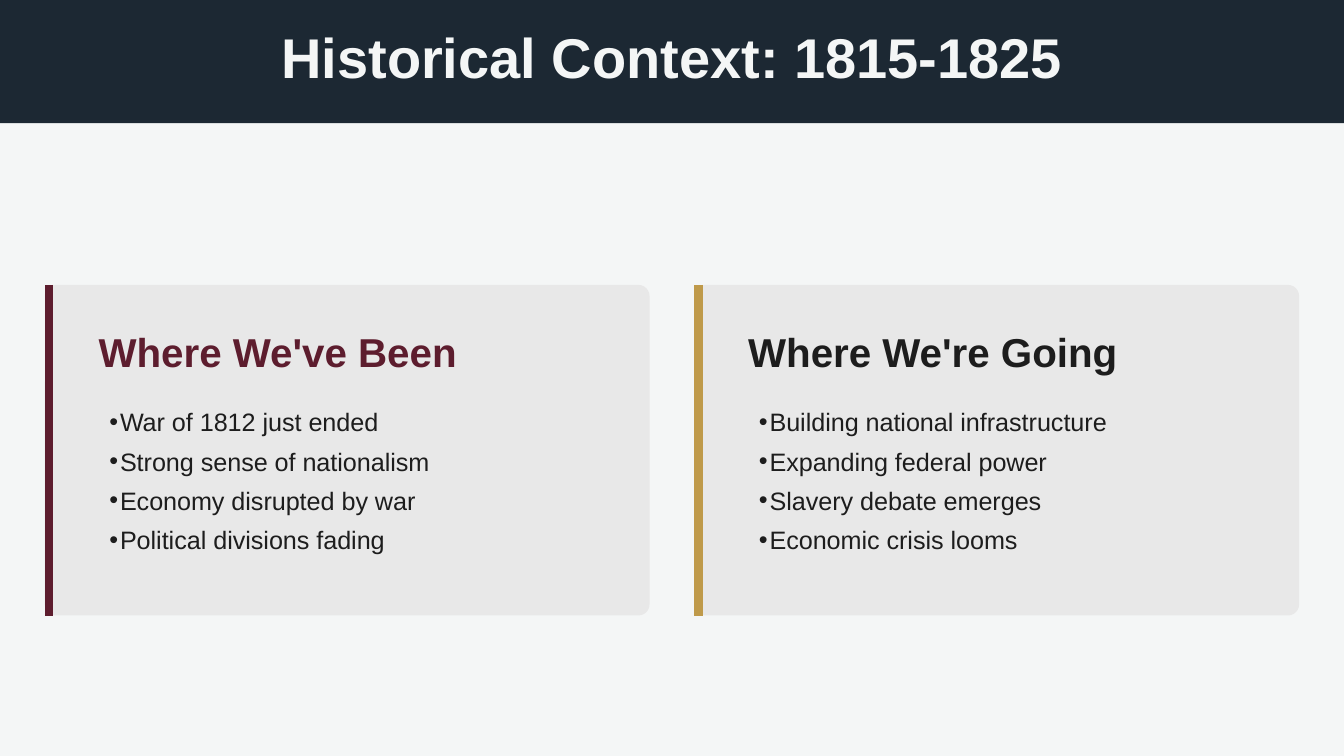
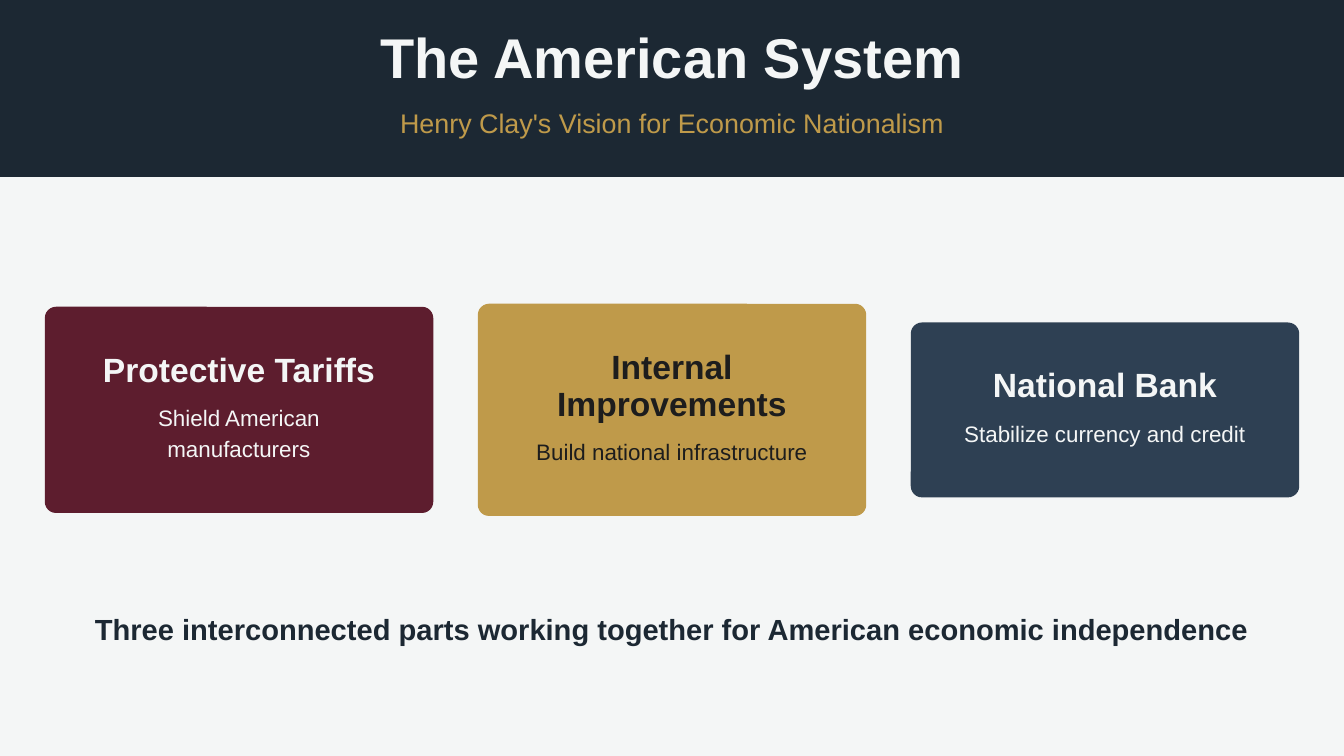
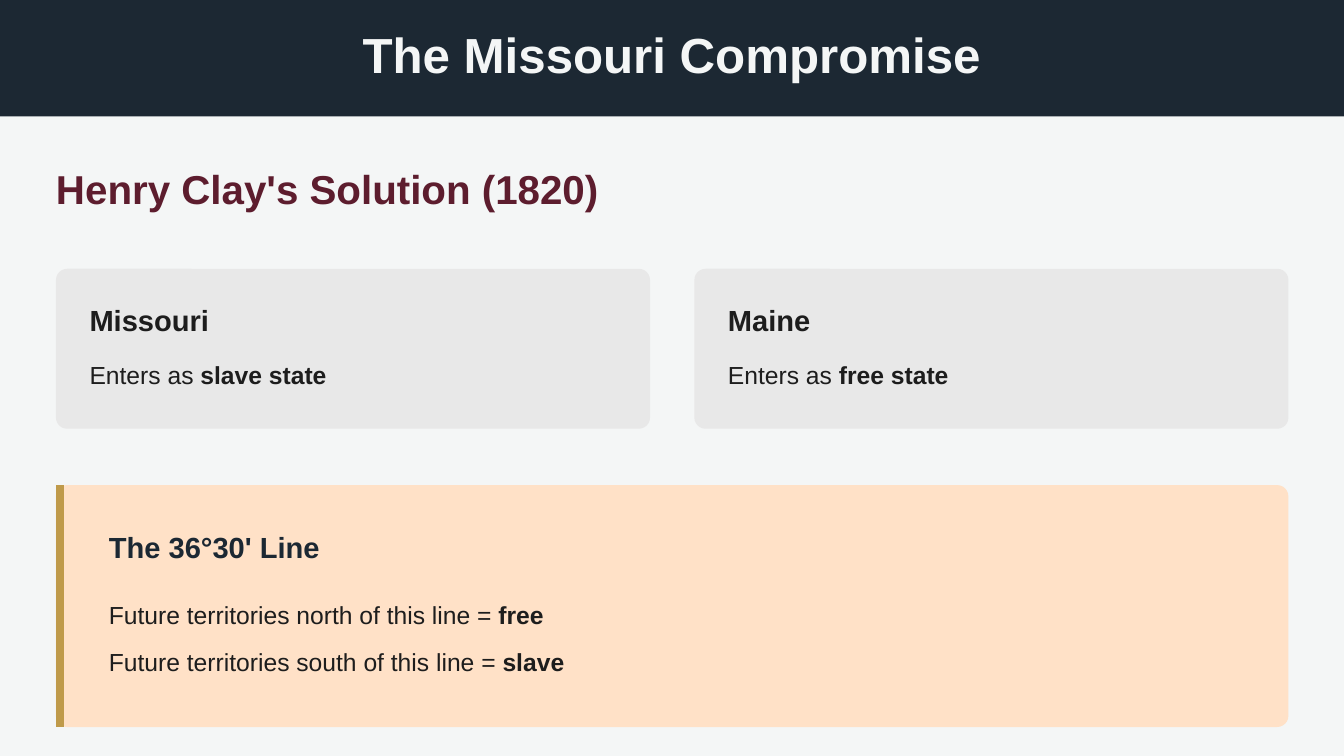
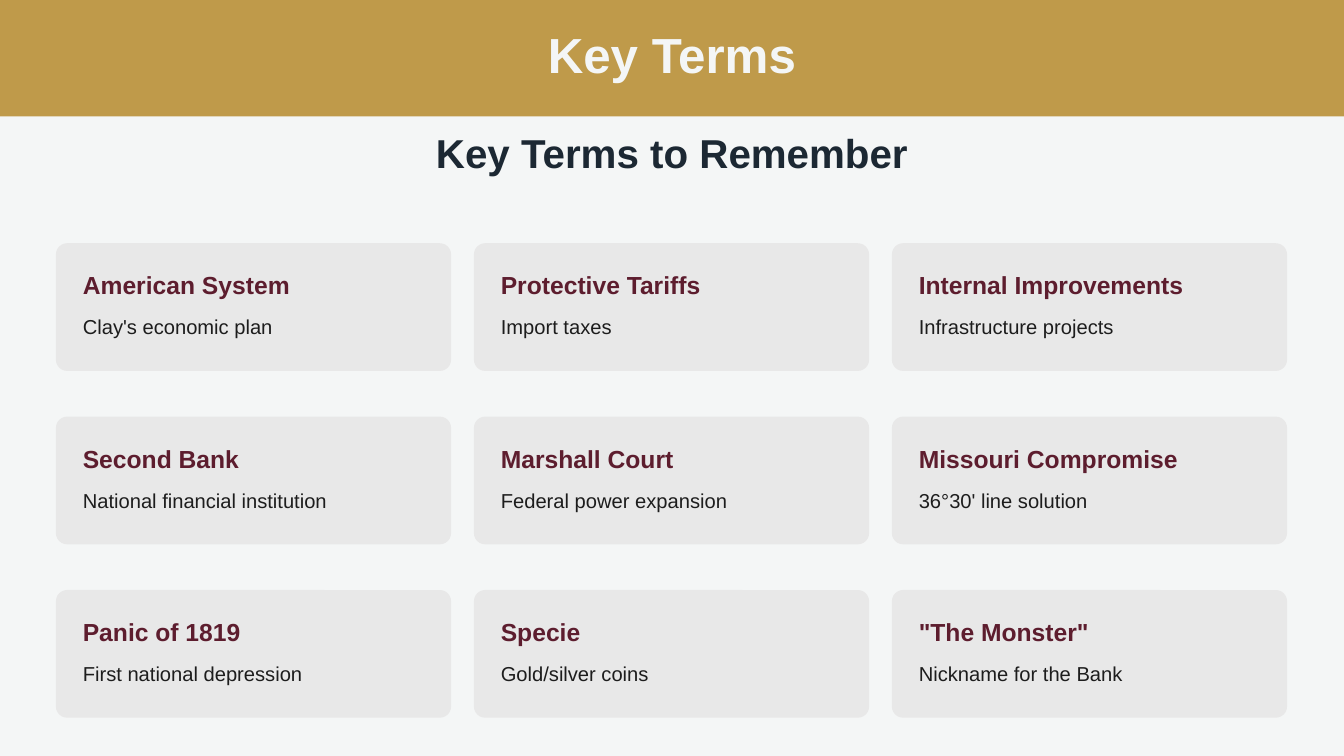
from dataclasses import dataclass, replace
from typing import NamedTuple

from lxml.etree import SubElement
from pptx import Presentation
from pptx.dml.color import RGBColor
from pptx.enum.shapes import MSO_CONNECTOR as Connector, MSO_SHAPE as Shape
from pptx.enum.text import MSO_ANCHOR as Anchor, PP_ALIGN as Align
from pptx.oxml.ns import qn
from pptx.slide import Slide
from pptx.util import Inches, Pt

# Shared look
FONT = "Arial"
NAVY = RGBColor(0x1C, 0x28, 0x33)
SLATE = RGBColor(0x2E, 0x40, 0x53)
WINE = RGBColor(0x5D, 0x1D, 0x2E)
GOLD = RGBColor(0xBF, 0x9A, 0x4A)
PEACH = RGBColor(0xFF, 0xE1, 0xC7)
GREY = RGBColor(0xE8, 0xE8, 0xE8)
PAPER = RGBColor(0xF4, 0xF6, 0xF6)
INK = RGBColor(0x1D, 0x1D, 0x1D)

PAGE_WIDTH = 10
PAGE_HEIGHT = PAGE_WIDTH * 9 / 16
WIDE_MARGIN = 5 / 12
NARROW_MARGIN = 1 / 3
CORNER = 1 / 12
BULLET_INDENT = 0.08
ACCENT_WIDTH = 4.5


@dataclass(frozen=True)
class TextStyle:
    size: float
    leading: float
    color: RGBColor = INK
    bold: bool = False
    align: Align = Align.LEFT
    bullet: bool = False

    def height(self, lines: float = 1) -> float:
        return self.leading * lines / 72


class Area(NamedTuple):
    left: float
    top: float
    width: float
    height: float


class Line(NamedTuple):
    """A line of text with an optional bold ending."""
    plain: str
    strong: str = ""


class Topic(NamedTuple):
    heading: str
    heading_width: float
    accent: RGBColor
    heading_color: RGBColor
    points: list[str]


class Pillar(NamedTuple):
    heading: str
    heading_width: float
    heading_lines: int
    detail: str
    detail_lines: int
    fill: RGBColor
    color: RGBColor


TITLE = TextStyle(30, 30, PAPER, True, Align.CENTER)
SMALL_TITLE = replace(TITLE, size=26.4, leading=26.4)
SUBTITLE = TextStyle(14.4, 20.2, GOLD, align=Align.CENTER)
HEADING = TextStyle(21.6, 24, WINE, True)
BULLETS = TextStyle(13.5, 21, bullet=True)
PILLAR_HEADING = TextStyle(18, 20, PAPER, True, Align.CENTER)
PILLAR_DETAIL = TextStyle(12, 16.8, PAPER, align=Align.CENTER)
SUMMARY = TextStyle(15.6, 21.8, NAVY, True, Align.CENTER)
CARD_HEADING = TextStyle(15.6, 18.7, bold=True)
CARD_DETAIL = TextStyle(13.2, 18.5)
RULE_DETAIL = TextStyle(13.2, 22.4)
TERM = TextStyle(13.2, 15.8, WINE, True)
MEANING = TextStyle(10.8, 15.1)


# Drawing helpers
def add_bullet(para) -> None:
    properties = para._p.get_or_add_pPr()
    properties.set("marL", str(Inches(BULLET_INDENT)))
    properties.set("indent", str(-Inches(BULLET_INDENT)))
    SubElement(properties, qn("a:buSzPct")).set("val", "100000")
    SubElement(properties, qn("a:buFont")).set("typeface", FONT)
    SubElement(properties, qn("a:buChar")).set("char", "•")


def set_font(font, style: TextStyle, bold: bool) -> None:
    font_format = {"name": FONT, "size": Pt(style.size), "bold": bold}
    for name, value in font_format.items():
        setattr(font, name, value)
    font.color.rgb = style.color


def add_text(page: Slide, style: TextStyle, left: float, top: float, width: float,
             *texts: Line, lines: float = 1) -> None:
    box = page.shapes.add_textbox(Inches(left), Inches(top), Inches(width),
                                  Inches(style.height(lines)))
    frame = box.text_frame
    inset = Inches(BULLET_INDENT) if style.bullet else 0
    frame_format = {"word_wrap": True, "vertical_anchor": Anchor.TOP, "margin_left": inset,
                    "margin_top": 0, "margin_right": 0, "margin_bottom": 0}
    for name, value in frame_format.items():
        setattr(frame, name, value)
    for index, text in enumerate(texts):
        para = frame.paragraphs[0] if index == 0 else frame.add_paragraph()
        if style.bullet:
            add_bullet(para)
        para.alignment = style.align
        para.line_spacing = Pt(style.leading)
        set_font(para.font, style, style.bold)
        for words, bold in ((text.plain, style.bold), (text.strong, True)):
            if words:
                span = para.add_run()
                span.text = words
                set_font(span.font, style, bold)


def add_centered(page: Slide, style: TextStyle, top: float, width: float, text: str) -> None:
    add_text(page, style, (PAGE_WIDTH - width) / 2, top, width, Line(text))


def add_block(page: Slide, kind: Shape, area: Area, fill: RGBColor):
    block = page.shapes.add_shape(kind, *(Inches(length) for length in area))
    block.shadow.inherit = False
    block.fill.solid()
    block.fill.fore_color.rgb = fill
    block.line.fill.background()
    return block


def add_card(page: Slide, area: Area, fill: RGBColor = GREY,
             accent: RGBColor | None = None) -> None:
    card = add_block(page, Shape.ROUNDED_RECTANGLE, area, fill)
    card.adjustments[0] = CORNER / min(area.width, area.height)
    if accent is None:
        return
    x = Inches(area.left + ACCENT_WIDTH / 144)
    edge = page.shapes.add_connector(Connector.STRAIGHT, x, Inches(area.top),
                                     x, Inches(area.top + area.height))
    edge.line.color.rgb = accent
    edge.line.width = Pt(ACCENT_WIDTH)
    SubElement(edge._element.spPr, qn("a:effectLst"))


def add_page(deck, title: str, width: float, style: TextStyle = TITLE,
             subtitle: str = "", band: RGBColor = NAVY) -> Slide:
    page = deck.slides.add_slide(deck.slide_layouts[6])
    page.background.fill.solid()
    page.background.fill.fore_color.rgb = PAPER
    height = style.height() + (0.9 if subtitle else 0.5)
    add_block(page, Shape.RECTANGLE, Area(0, 0, PAGE_WIDTH, height), band)
    add_centered(page, style, 0.25, width, title)
    if subtitle:
        add_centered(page, SUBTITLE, 0.75, 9.69, subtitle)
    return page


# Slide 1: two topics side by side
TOPICS = [
    Topic("Where We've Been", 2.72, WINE, WINE,
          ["War of 1812 just ended", "Strong sense of nationalism",
           "Economy disrupted by war", "Political divisions fading"]),
    Topic("Where We're Going", 2.81, GOLD, INK,
          ["Building national infrastructure", "Expanding federal power",
           "Slavery debate emerges", "Economic crisis looms"]),
]


def build_context(deck) -> None:
    page = add_page(deck, "Historical Context: 1815-1825", 5.93)
    card_width = 4.5
    pitch = PAGE_WIDTH - 2 * NARROW_MARGIN - card_width
    for column, topic in enumerate(TOPICS):
        area = Area(NARROW_MARGIN + column * pitch, 2.12, card_width, 2.46)
        add_card(page, area, accent=topic.accent)
        left = area.left + 0.4
        add_text(page, replace(HEADING, color=topic.heading_color), left, 2.46,
                 topic.heading_width, Line(topic.heading))
        add_text(page, BULLETS, left, 2.96, 3.77, *map(Line, topic.points), lines=4.42)


# Slide 2: three pillars centred on one axis
PILLARS = [
    Pillar("Protective Tariffs", 2.07, 1, "Shield American manufacturers", 2, WINE, PAPER),
    Pillar("Internal Improvements", 1.75, 2, "Build national infrastructure", 1, GOLD, INK),
    Pillar("National Bank", 1.71, 1, "Stabilize currency and credit", 1, SLATE, PAPER),
]


def build_system(deck) -> None:
    page = add_page(deck, "The American System", 4.86,
                    subtitle="Henry Clay's Vision for Economic Nationalism")
    card_width, detail_width, axis = 2.89, 2.27, 3.05
    pitch = (PAGE_WIDTH - 2 * NARROW_MARGIN - card_width) / 2
    for column, pillar in enumerate(PILLARS):
        heading_height = PILLAR_HEADING.height(pillar.heading_lines)
        height = heading_height + PILLAR_DETAIL.height(pillar.detail_lines) + 0.79
        area = Area(NARROW_MARGIN + column * pitch, axis - height / 2, card_width, height)
        add_card(page, area, pillar.fill)
        center, top = area.left + card_width / 2, area.top + NARROW_MARGIN
        add_text(page, replace(PILLAR_HEADING, color=pillar.color),
                 center - pillar.heading_width / 2, top, pillar.heading_width,
                 Line(pillar.heading), lines=pillar.heading_lines)
        add_text(page, replace(PILLAR_DETAIL, color=pillar.color),
                 center - detail_width / 2, top + heading_height + 0.08, detail_width,
                 Line(pillar.detail), lines=pillar.detail_lines)
    add_centered(page, SUMMARY, 4.51, 8.76,
                 "Three interconnected parts working together for American economic independence")


# Slide 3: two states and the dividing line
STATES = {"Missouri": "slave state", "Maine": "free state"}
TERRITORIES = {"north": "free", "south": "slave"}


def build_compromise(deck) -> None:
    page = add_page(deck, "The Missouri Compromise", 4.86, SMALL_TITLE)
    add_text(page, HEADING, WIDE_MARGIN, 1.25, 4.69, Line("Henry Clay's Solution (1820)"))
    for column, (state, status) in enumerate(STATES.items()):
        area = Area(WIDE_MARGIN + column * 4.75, 2, 4.42, 1.19)
        add_card(page, area)
        left = area.left + 0.25
        add_text(page, CARD_HEADING, left, 2.25, 4, Line(state))
        add_text(page, CARD_DETAIL, left, 2.64, 4, Line("Enters as ", status))

    add_card(page, Area(WIDE_MARGIN, 3.61, 9.17, 1.8), PEACH, GOLD)
    add_text(page, replace(CARD_HEADING, color=NAVY), 0.81, 3.94, 8.61,
             Line("The 36°30' Line"))
    for row, (side, status) in enumerate(TERRITORIES.items()):
        add_text(page, RULE_DETAIL, 0.81, 4.37 + row * 0.35, 8.61,
                 Line(f"Future territories {side} of this line = ", status))


# Slide 4: grid of terms
TERMS = {
    "American System": "Clay's economic plan",
    "Protective Tariffs": "Import taxes",
    "Internal Improvements": "Infrastructure projects",
    "Second Bank": "National financial institution",
    "Marshall Court": "Federal power expansion",
    "Missouri Compromise": "36°30' line solution",
    "Panic of 1819": "First national depression",
    "Specie": "Gold/silver coins",
    '"The Monster"': "Nickname for the Bank",
}


def build_terms(deck) -> None:
    page = add_page(deck, "Key Terms", 4.86, SMALL_TITLE, band=GOLD)
    add_centered(page, replace(HEADING, color=NAVY, align=Align.CENTER), 0.98, 3.58,
                 "Key Terms to Remember")
    for index, (term, meaning) in enumerate(TERMS.items()):
        row, column = divmod(index, 3)
        area = Area(WIDE_MARGIN + column * 3.11, 1.81 + row * 1.29, 2.94, 0.95)
        add_card(page, area)
        left, top = area.left + 0.2, area.top + 0.2
        add_text(page, TERM, left, top, 2.6, Line(term))
        add_text(page, MEANING, left, top + 0.3, 2.6, Line(meaning))


def main() -> None:
    deck = Presentation()
    deck.slide_width, deck.slide_height = Inches(PAGE_WIDTH), Inches(PAGE_HEIGHT)
    for build in (build_context, build_system, build_compromise, build_terms):
        build(deck)
    deck.save("out.pptx")


if __name__ == "__main__":
    main()
